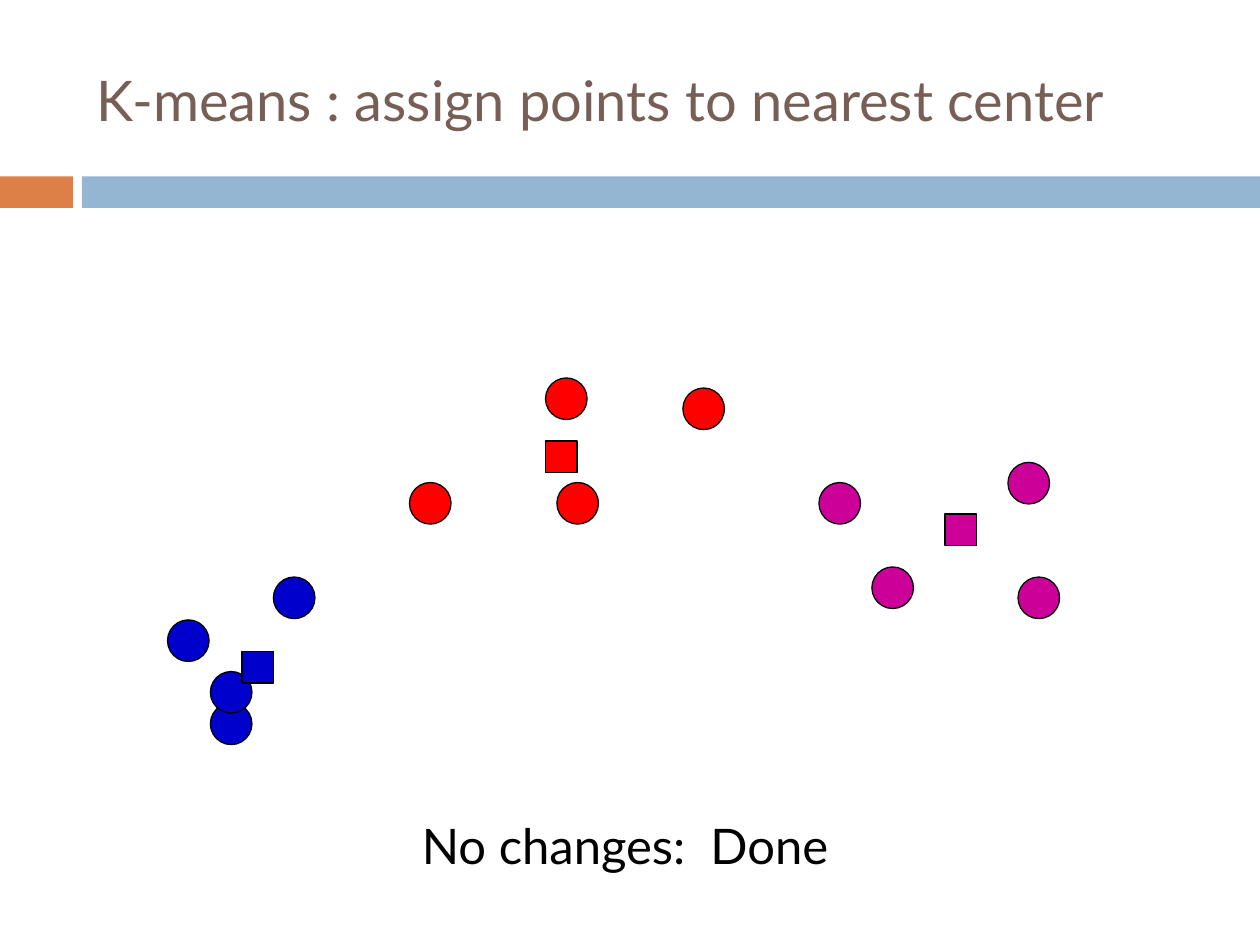
from dataclasses import dataclass

from pptx import Presentation
from pptx.dml.color import RGBColor
from pptx.enum.shapes import MSO_SHAPE
from pptx.enum.text import MSO_ANCHOR
from pptx.util import Inches, Pt


@dataclass(frozen=True)
class Theme:
    """Colours, font and sizes used on the slide."""
    font: str = "Lato"
    title_size: int = 32
    note_size: int = 28
    title: str = "775F55"
    ink: str = "000000"
    accent: str = "DD8047"
    band: str = "94B6D2"
    blue: str = "0000CC"
    red: str = "FF0000"
    magenta: str = "CC0099"
    outline: float = 0.75
    point: float = 0.33
    center: float = 0.25


THEME = Theme()

# Offsets from the top left corner of the plot: colour, points, center.
CLUSTERS = [
    (THEME.blue, [(0.34, 2.58), (0, 1.92), (0.84, 1.58), (0.34, 2.33)],
     (0.59, 2.17)),
    (THEME.red, [(3, 0), (4.09, 0.08), (3.09, 0.83), (1.92, 0.83)],
     (3, 0.5)),
    (THEME.magenta, [(6.67, 0.67), (6.75, 1.58), (5.17, 0.83), (5.59, 1.5)],
     (6.17, 1.08)),
]


def add_block(slide, kind, box, fill, outlined=False):
    """Draw a flat filled shape, with a thin dark outline if asked."""
    shape = slide.shapes.add_shape(kind, *map(Inches, box))
    shape.shadow.inherit = False
    shape.fill.solid()
    shape.fill.fore_color.rgb = RGBColor.from_string(fill)
    if outlined:
        shape.line.color.rgb = RGBColor.from_string(THEME.ink)
        shape.line.width = Pt(THEME.outline)
    else:
        shape.line.fill.background()


def add_text(slide, box, text, size, color, anchor=MSO_ANCHOR.TOP):
    """Place one line of text in a wrapping box."""
    frame = slide.shapes.add_textbox(*map(Inches, box)).text_frame
    frame.word_wrap = True
    frame.vertical_anchor = anchor
    run = frame.paragraphs[0].add_run()
    run.text = text
    run.font.name = THEME.font
    run.font.size = Pt(size)
    run.font.color.rgb = RGBColor.from_string(color)
    return frame


def add_header(slide, left, top, width, height):
    """Draw the title above a two-part band that closes the header."""
    band_height, accent_width, band_start = 0.25, 0.58, 0.65
    band_top = top + height - band_height
    for x, w, color in ((0, accent_width, THEME.accent),
                        (band_start, width - band_start, THEME.band)):
        add_block(slide, MSO_SHAPE.RECTANGLE,
                  (left + x, band_top, w, band_height), color)
    add_text(slide, (left + 0.67, top + 0.25, width - 1.08, 1.08),
             "K-means : assign points to nearest center",
             THEME.title_size, THEME.title, MSO_ANCHOR.MIDDLE)


def add_clusters(slide, left, top):
    """Draw every cluster's points, then the centers on top."""
    for color, points, _ in CLUSTERS:
        for x, y in points:
            add_block(slide, MSO_SHAPE.OVAL,
                      (left + x, top + y, THEME.point, THEME.point),
                      color, outlined=True)
    for color, _, (x, y) in CLUSTERS:
        add_block(slide, MSO_SHAPE.RECTANGLE,
                  (left + x, top + y, THEME.center, THEME.center),
                  color, outlined=True)


def add_note(slide, left, top, width, height):
    """Write the closing remark below the plot."""
    add_text(slide, (left, top, width, height), "No changes:  Done",
             THEME.note_size, THEME.ink)


def main():
    """Build and save the slide."""
    deck = Presentation()
    deck.slide_width, deck.slide_height = Inches(10), Inches(7.5)
    slide = deck.slides.add_slide(deck.slide_layouts[6])
    add_header(slide, 0, 0, 10, 1.65)
    add_clusters(slide, 1.33, 3)
    add_note(slide, 3.25, 6.42, 5.58, 0.57)
    deck.save("out.pptx")


main()
